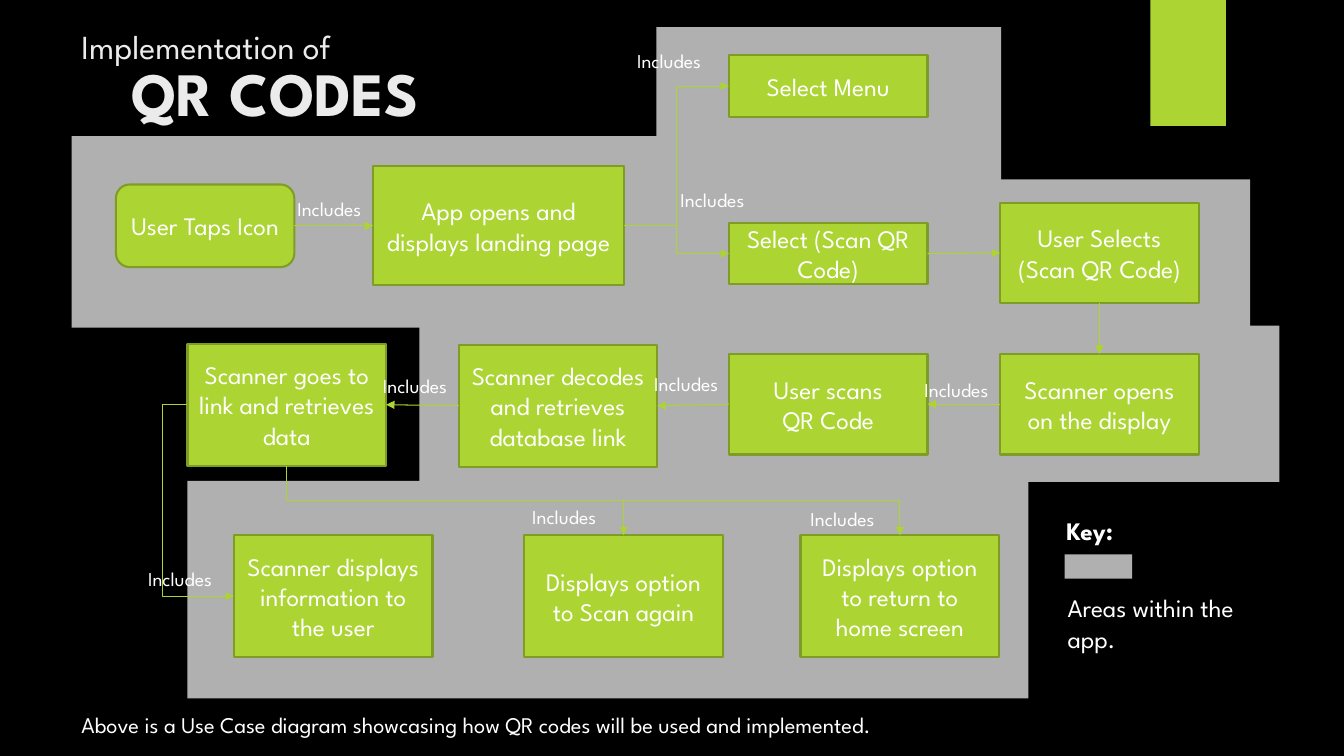
from lxml import etree
from pptx import Presentation
from pptx.dml.color import RGBColor
from pptx.enum.shapes import MSO_CONNECTOR as CONNECTOR, MSO_SHAPE as SHAPE
from pptx.enum.text import MSO_ANCHOR as ANCHOR, PP_ALIGN as ALIGN
from pptx.oxml.ns import qn
from pptx.util import Inches, Pt

FONT = "League Spartan"
COLORS = {
    "background": "000000", "green": "ACD433", "outline": "7F9D26",
    "area": "B0B0B0", "title": "EBEBEB", "text": "FFFFFF",
}

# left, top, width, height
ACCENT_TAB = (11.41, 0, 0.75, 1.25)
APP_AREAS = [
    (6.52, 1.78, 5.88, 1.9),
    (0.71, 1.35, 5.88, 1.9),
    (6.51, 0.27, 3.42, 3),
    (1.86, 4.77, 8.34, 2.16),
    (4.16, 3.23, 8.53, 1.55),
]
KEY_SWATCH = (10.56, 5.5, 0.67, 0.24)

# text, left, top, width, height, size, colour, bold
TEXTS = [
    ("QR CODES", 1.21, 0.5, 10.29, 1.53, 44, "title", True),
    ("Above is a Use Case diagram showcasing how QR codes will be used and implemented.",
     0.71, 7.01, 9.78, 0.49, 16, "text", False),
    ("Implementation of", 0.71, 0.21, 10.29, 1.53, 24, "title", False),
    ("Key:", 10.48, 5.06, 1.4, 0.4, 18, "text", True),
    ("Areas within the app.", 10.49, 5.83, 2.12, 0.71, 18, "text", False),
]

SIZES = {
    "start": (1.77, 0.82), "landing": (2.49, 1.18),
    "low": (1.97, 0.61), "medium": (1.97, 1), "tall": (1.97, 1.21),
}
# name: text, left, top, size
STEPS = {
    "tap": ("User Taps Icon", 1.15, 1.83, "start"),
    "landing": ("App opens and displays landing page", 3.7, 1.65, "landing"),
    "menu": ("Select Menu", 7.23, 0.55, "low"),
    "scan option": ("Select (Scan QR Code)", 7.23, 2.21, "low"),
    "selects": ("User Selects (Scan QR Code)", 9.92, 2.01, "medium"),
    "opens": ("Scanner opens on the display", 9.92, 3.51, "medium"),
    "scans": ("User scans\nQR Code", 7.23, 3.51, "medium"),
    "decodes": ("Scanner decodes and retrieves database link", 4.55, 3.42, "tall"),
    "retrieves": ("Scanner goes to link and retrieves data", 1.86, 3.41, "tall"),
    "information": ("Scanner displays information to the user", 2.32, 5.31, "tall"),
    "again": ("Displays option to Scan again", 5.2, 5.31, "tall"),
    "home": ("Displays option to return to home screen", 7.94, 5.31, "tall"),
}

TOP, LEFT, BOTTOM, RIGHT = range(4)
STRAIGHT_ARROWS = [
    ("tap", RIGHT, "landing", LEFT),
    ("scan option", RIGHT, "selects", LEFT),
    ("selects", BOTTOM, "opens", TOP),
    ("opens", LEFT, "scans", RIGHT),
    ("scans", LEFT, "decodes", RIGHT),
    ("decodes", LEFT, "retrieves", RIGHT),
]
ELBOW_ARROWS = [
    ("landing", RIGHT, "menu", LEFT),
    ("landing", RIGHT, "scan option", LEFT),
    ("retrieves", LEFT, "information", LEFT),
    ("retrieves", BOTTOM, "again", TOP),
    ("retrieves", BOTTOM, "home", TOP),
]
LOOP_BEND = -54300

INCLUDES_SIZE = (0.98, 0.34)
INCLUDES_PLACES = [
    (2.85, 1.9), (6.22, 0.44), (6.65, 1.82), (9.07, 3.7), (6.39, 3.64),
    (3.7, 3.66), (1.37, 5.58), (5.18, 4.96), (7.94, 4.98),
]


def color(name):
    return RGBColor.from_string(COLORS[name])


def write(shape, text, size, color_name="text", bold=False, align=ALIGN.LEFT):
    frame = shape.text_frame
    frame.word_wrap = True
    frame.text = text
    for paragraph in frame.paragraphs:
        paragraph.alignment = align
        for run in paragraph.runs:
            run.font.name = FONT
            run.font.size = Pt(size)
            run.font.bold = bold
            run.font.color.rgb = color(color_name)


def add_text(slide, text, box, size, color_name="text", bold=False):
    shape = slide.shapes.add_textbox(*map(Inches, box))
    shape.text_frame.vertical_anchor = ANCHOR.TOP
    write(shape, text, size, color_name, bold)


def add_block(slide, box, fill, kind=SHAPE.RECTANGLE):
    shape = slide.shapes.add_shape(kind, *map(Inches, box))
    shape.shadow.inherit = False
    shape.fill.solid()
    shape.fill.fore_color.rgb = color(fill)
    shape.line.fill.background()
    return shape


def add_step(slide, text, left, top, size):
    kind = SHAPE.ROUNDED_RECTANGLE if size == "start" else SHAPE.RECTANGLE
    shape = add_block(slide, (left, top, *SIZES[size]), "green", kind)
    shape.line.color.rgb = color("outline")
    shape.line.width = Pt(1.5)
    shape.text_frame.vertical_anchor = ANCHOR.MIDDLE
    write(shape, text, 18, align=ALIGN.CENTER)
    return shape


def add_arrow(slide, kind, start, start_side, end, end_side):
    arrow = slide.shapes.add_connector(kind, 0, 0, 0, 0)
    arrow.begin_connect(start, start_side)
    arrow.end_connect(end, end_side)
    arrow.line.color.rgb = color("green")
    arrow.line.width = Pt(0.75)
    etree.SubElement(arrow.line._get_or_add_ln(), qn("a:tailEnd"), type="triangle")
    etree.SubElement(arrow.element.spPr, qn("a:effectLst"))
    return arrow


def turn_downwards(arrow):
    """Make an elbow leave vertically: a quarter turn about its centre, mirrored."""
    center_x = arrow.left + arrow.width // 2
    center_y = arrow.top + arrow.height // 2
    arrow.width, arrow.height = arrow.height, arrow.width
    arrow.left = center_x - arrow.width // 2
    arrow.top = center_y - arrow.height // 2
    transform = arrow.element.spPr.find(qn("a:xfrm"))
    transform.set("rot", "16200000")
    transform.set("flipH", "1")


def set_bend(arrow, value):
    geometry = arrow.element.spPr.find(qn("a:prstGeom"))
    adjustments = geometry.find(qn("a:avLst"))
    if adjustments is None:
        adjustments = etree.SubElement(geometry, qn("a:avLst"))
    etree.SubElement(adjustments, qn("a:gd"), name="adj1", fmla=f"val {value}")


def main():
    presentation = Presentation()
    presentation.slide_width = Inches(13.33)
    presentation.slide_height = Inches(7.5)
    slide = presentation.slides.add_slide(presentation.slide_layouts[6])
    slide.background.fill.solid()
    slide.background.fill.fore_color.rgb = color("background")

    add_block(slide, ACCENT_TAB, "green")
    for area in APP_AREAS + [KEY_SWATCH]:
        add_block(slide, area, "area")
    for text, left, top, width, height, size, color_name, bold in TEXTS:
        add_text(slide, text, (left, top, width, height), size, color_name, bold)

    steps = {name: add_step(slide, *step) for name, step in STEPS.items()}
    for start, start_side, end, end_side in STRAIGHT_ARROWS:
        add_arrow(slide, CONNECTOR.STRAIGHT, steps[start], start_side, steps[end], end_side)
    for start, start_side, end, end_side in ELBOW_ARROWS:
        arrow = add_arrow(slide, CONNECTOR.ELBOW, steps[start], start_side, steps[end], end_side)
        if start_side == BOTTOM:
            turn_downwards(arrow)
        elif start_side == end_side:
            set_bend(arrow, LOOP_BEND)

    for place in INCLUDES_PLACES:
        add_text(slide, "Includes", place + INCLUDES_SIZE, 14)

    presentation.save("out.pptx")


if __name__ == "__main__":
    main()
